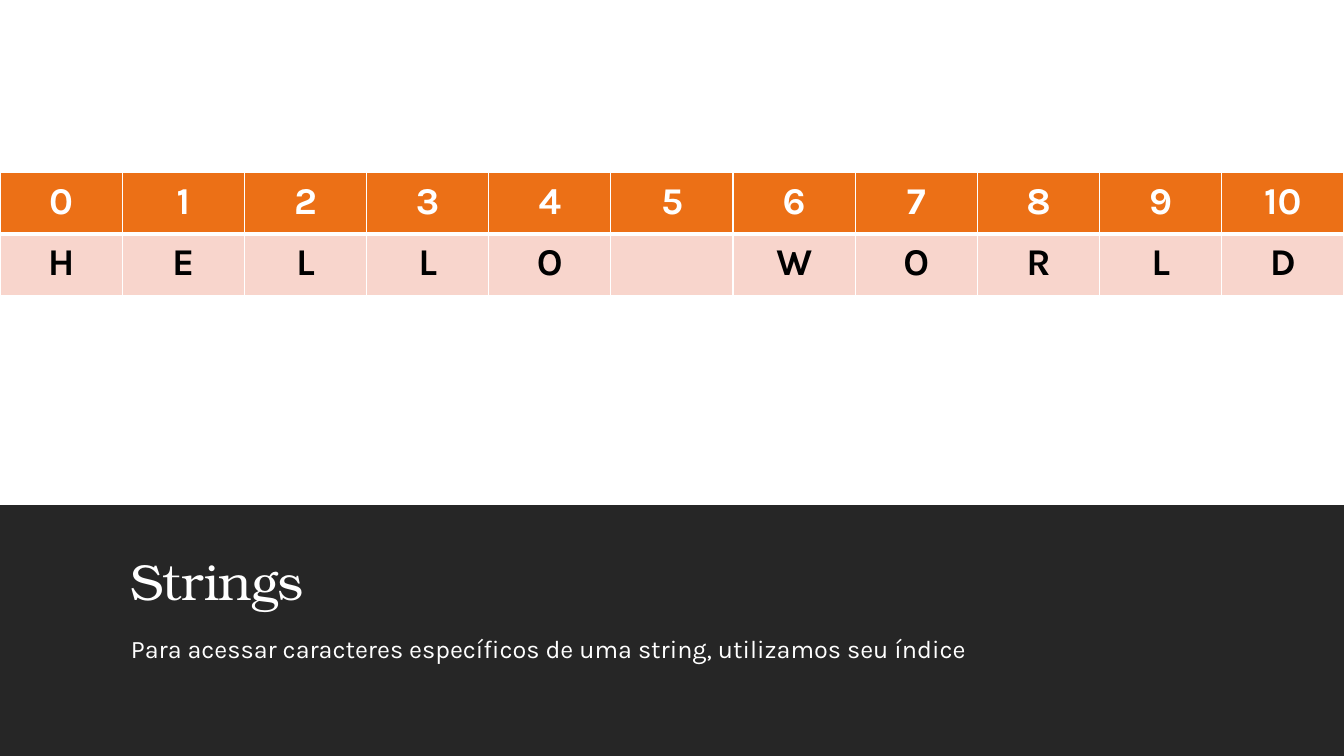
from dataclasses import dataclass

from lxml.etree import SubElement as Sub
from pptx import Presentation
from pptx.dml.color import RGBColor as Rgb
from pptx.enum.shapes import MSO_SHAPE as Form
from pptx.enum.text import MSO_ANCHOR as Anchor, MSO_AUTO_SIZE as Fit, PP_ALIGN as Align
from pptx.oxml.ns import qn
from pptx.util import Cm, Pt

WIDE, HIGH = 33.87, 19.05
BAND = 12.73
LEFT, SPAN = 3.05, 28.09


@dataclass(frozen=True)
class Theme:
    white: str = "FFFFFF"
    black: str = "000000"
    dark: str = "262626"
    head: str = "EC7016"
    pale: str = "F8D5CC"
    serif: str = "TeX Gyre Bonum"
    sans: str = "Karla"
    title: float = 36
    body: float = 18
    cell: float = 27


def write(frame, text, font, size, color, bold=False, align=Align.LEFT,
          line=1.0, after=0, track=0):
    para = frame.paragraphs[0]
    para.alignment = align
    para.line_spacing = line
    para.space_before = Pt(0)
    para.space_after = Pt(after)
    run = para.add_run()
    run.text = text
    run.font.name = font
    run.font.size = Pt(size)
    run.font.bold = bold
    run.font.color.rgb = Rgb.from_string(color)
    if track:
        run.font._element.set("spc", str(round(track * 100)))


class Deck:
    def __init__(self, theme):
        self.theme = theme
        self.show = Presentation()
        self.show.slide_width, self.show.slide_height = Cm(WIDE), Cm(HIGH)
        self.slide = self.show.slides.add_slide(self.show.slide_layouts[5])

    def band(self, top, color):
        box = self.slide.shapes.add_shape(
            Form.RECTANGLE, 0, Cm(top), Cm(WIDE), Cm(HIGH - top))
        box.shadow.inherit = False
        box.fill.solid()
        box.fill.fore_color.rgb = Rgb.from_string(color)
        box.line.fill.background()
        self.slide.shapes.title.element.addprevious(box.element)

    def place(self, box, top, high, anchor):
        box.left, box.top, box.width, box.height = Cm(LEFT), Cm(top), Cm(SPAN), Cm(high)
        frame = box.text_frame
        frame.word_wrap = True
        frame.auto_size = Fit.NONE
        frame.vertical_anchor = anchor
        frame.margin_left = frame.margin_right = Cm(0.25)
        frame.margin_top = frame.margin_bottom = 0
        return frame

    def title(self, text, top, high):
        frame = self.place(self.slide.shapes.title, top, high, Anchor.BOTTOM)
        write(frame, text, self.theme.serif, self.theme.title, self.theme.white,
              line=0.9, track=-0.5)

    def body(self, text, top, high):
        box = self.slide.shapes.add_textbox(0, 0, 0, 0)
        frame = self.place(box, top, high, Anchor.TOP)
        write(frame, text, self.theme.sans, self.theme.body, self.theme.white,
              line=1.1, after=6)

    def edge(self, cell, base):
        props = cell._tc.get_or_add_tcPr()
        for side, width in (("L", 1), ("R", 1), ("T", 1), ("B", base)):
            line = Sub(props, qn(f"a:ln{side}"), w=str(Pt(width)))
            fill = Sub(line, qn("a:solidFill"))
            Sub(fill, qn("a:srgbClr"), val=self.theme.white)

    def cell(self, cell, text, fill, color, base):
        self.edge(cell, base)
        cell.fill.solid()
        cell.fill.fore_color.rgb = Rgb.from_string(fill)
        cell.margin_left = cell.margin_right = Cm(0.38)
        cell.margin_top = cell.margin_bottom = Cm(0.19)
        if text.strip():
            write(cell.text_frame, text, self.theme.sans, self.theme.cell, color,
                  bold=True, align=Align.CENTER)

    def table(self, word, top, high):
        count = len(word)
        grid = self.slide.shapes.add_table(
            2, count, 0, Cm(top), Cm(WIDE), Cm(2 * high)).table
        grid.horz_banding = False
        for col in grid.columns:
            col.width = Cm(WIDE / count)
        for row in grid.rows:
            row.height = Cm(high)
        for spot, sign in enumerate(word):
            self.cell(grid.cell(0, spot), str(spot), self.theme.head, self.theme.white, 3)
            self.cell(grid.cell(1, spot), sign, self.theme.pale, self.theme.black, 1)


def main():
    deck = Deck(Theme())
    deck.band(BAND, deck.theme.dark)
    deck.title("Strings", 13.34, 2.06)
    deck.body("Para acessar caracteres específicos de uma string, utilizamos seu índice",
              15.88, 1.7)
    deck.table("HELLO WORLD", 4.34, 1.55)
    deck.show.save("out.pptx")


if __name__ == "__main__":
    main()
